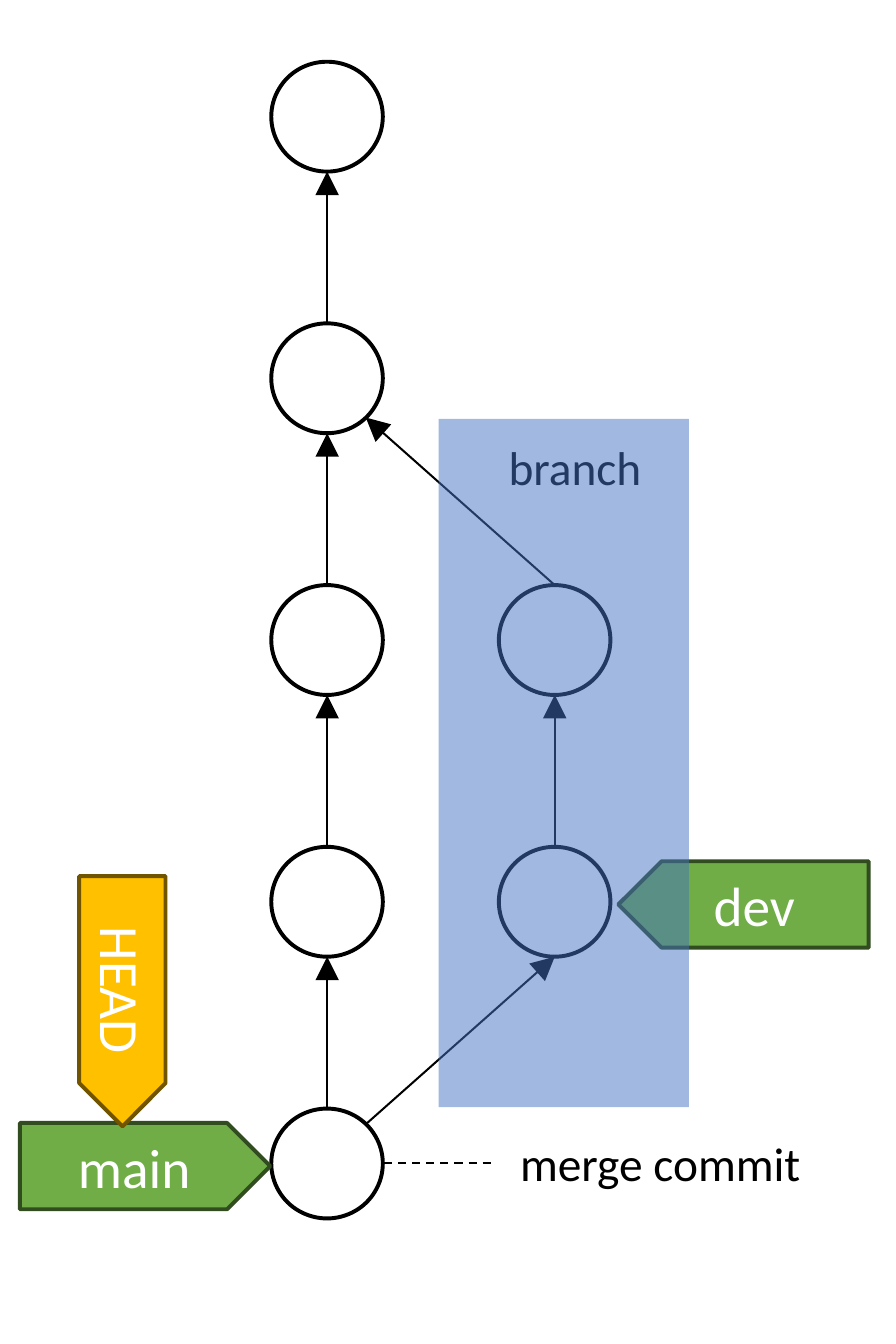
import pptx
import pptx.dml.color
import pptx.enum.dml
import pptx.enum.shapes
import pptx.enum.text
import pptx.oxml.ns
import pptx.util
from lxml import etree

RGB = pptx.dml.color.RGBColor
BLACK = RGB(0x00, 0x00, 0x00)
WHITE = RGB(0xFF, 0xFF, 0xFF)
GREEN = RGB(0x70, 0xAD, 0x47)
MOSS = RGB(0x31, 0x4C, 0x1F)
GOLD = RGB(0xFF, 0xC0, 0x00)
BROWN = RGB(0x70, 0x54, 0x00)
BLUE = RGB(0x44, 0x72, 0xC4)

FORM = pptx.enum.shapes.MSO_SHAPE
ALIGN = pptx.enum.text.PP_ALIGN
ANCHOR = pptx.enum.text.MSO_ANCHOR
RISE = 0.21


def write(frame, text, size=12, color=BLACK, align=ALIGN.CENTER,
          anchor=ANCHOR.TOP, font="Calibri"):
    frame.word_wrap = True
    frame.vertical_anchor = anchor
    par = frame.paragraphs[0]
    par.alignment = align
    run = par.add_run()
    run.text = text
    run.font.name = font
    run.font.size = pptx.util.Pt(size)
    run.font.color.rgb = color


def add(parent, tag, **attrs):
    return etree.SubElement(parent, pptx.oxml.ns.qn(tag), **attrs)


class Graph:
    """Draws a commit graph on a grid whose nodes sit at (column, row)."""

    left, top, col, row = 1.15, 0.41, 0.8, 0.92

    def __init__(self, slide):
        self.shapes = slide.shapes

    def spot(self, col, row):
        return (pptx.util.Inches(self.left + col * self.col),
                pptx.util.Inches(self.top + row * self.row))

    def box(self, col, row, wide, high):
        x, y = self.spot(col - wide / 2, row - high / 2)
        return (x, y, pptx.util.Inches(wide * self.col),
                pptx.util.Inches(high * self.row))

    def shape(self, form, area, fill, line=None):
        item = self.shapes.add_shape(form, *self.box(*area))
        item.shadow.inherit = False
        item.fill.solid()
        item.fill.fore_color.rgb = fill
        if line is None:
            item.line.fill.background()
        else:
            item.line.color.rgb = line
            item.line.width = pptx.util.Pt(1)
        return item

    def node(self, col, row):
        return self.shape(FORM.OVAL, (col, row, 0.49, 2 * RISE), WHITE, BLACK)

    def tag(self, text, col, row, fill, line, turn=0, flip=False):
        item = self.shape(FORM.PENTAGON, (col, row, 1.1, 0.33), fill, line)
        item.rotation = turn
        if flip:
            item.element.spPr.xfrm.set("flipH", "1")
        write(item.text_frame, text, size=14, color=WHITE,
              anchor=ANCHOR.MIDDLE)

    def label(self, text, col, row, wide, **style):
        item = self.shapes.add_textbox(*self.box(col, row, wide, 0.33))
        write(item.text_frame, text, **style)
        item.text_frame.auto_size = pptx.enum.text.MSO_AUTO_SIZE.SHAPE_TO_FIT_TEXT
        return item

    def line(self, start, end):
        item = self.shapes.add_connector(
            pptx.enum.shapes.MSO_CONNECTOR.STRAIGHT,
            *self.spot(*start), *self.spot(*end))
        item.line.color.rgb = BLACK
        item.line.width = pptx.util.Pt(0.5)
        add(item.element.spPr, "a:effectLst")
        return item

    def arrow(self, start, end):
        item = self.line(start, end)
        stroke = item.element.spPr.find(pptx.oxml.ns.qn("a:ln"))
        add(stroke, "a:tailEnd", type="triangle")

    def dash(self, start, end, goal):
        item = self.line(start, end)
        item.line.dash_style = pptx.enum.dml.MSO_LINE.DASH
        item.end_connect(goal, 1)

    def band(self, *area):
        item = self.shape(FORM.RECTANGLE, area, BLUE)
        tint = item.element.spPr.find(".//" + pptx.oxml.ns.qn("a:srgbClr"))
        add(tint, "a:alpha", val="50000")


def main():
    deck = pptx.Presentation()
    deck.slide_width = pptx.util.Cm(8)
    deck.slide_height = pptx.util.Cm(12)
    deck.element.sldSz.attrib.pop("type", None)
    graph = Graph(deck.slides.add_slide(deck.slide_layouts[6]))

    trunk = [(0, row) for row in range(5)]
    branch = [(1, row) for row in (2, 3)]
    for col, row in trunk + branch:
        graph.node(col, row)
    for col, row in trunk[1:] + branch[1:]:
        graph.arrow((col, row - RISE), (col, row - 1 + RISE))
    graph.arrow((1, 2 - RISE), (0.17, 1.15))
    graph.arrow((0.17, 3.85), (1, 3 + RISE))

    graph.tag("main", -0.8, 4.01, GREEN, MOSS)
    graph.tag("dev", 1.83, 3.01, GREEN, MOSS, flip=True)
    graph.tag("HEAD", -0.9, 3.38, GOLD, BROWN, turn=90)
    graph.label("branch", 1.09, 1.34, 1.01)
    note = graph.label("merge commit", 1.48, 4, 1.51, align=ALIGN.LEFT)
    graph.dash((0.25, 4), (0.73, 4), note)
    graph.band(1.04, 2.47, 1.1, 2.63)

    deck.save("out.pptx")


if __name__ == "__main__":
    main()
